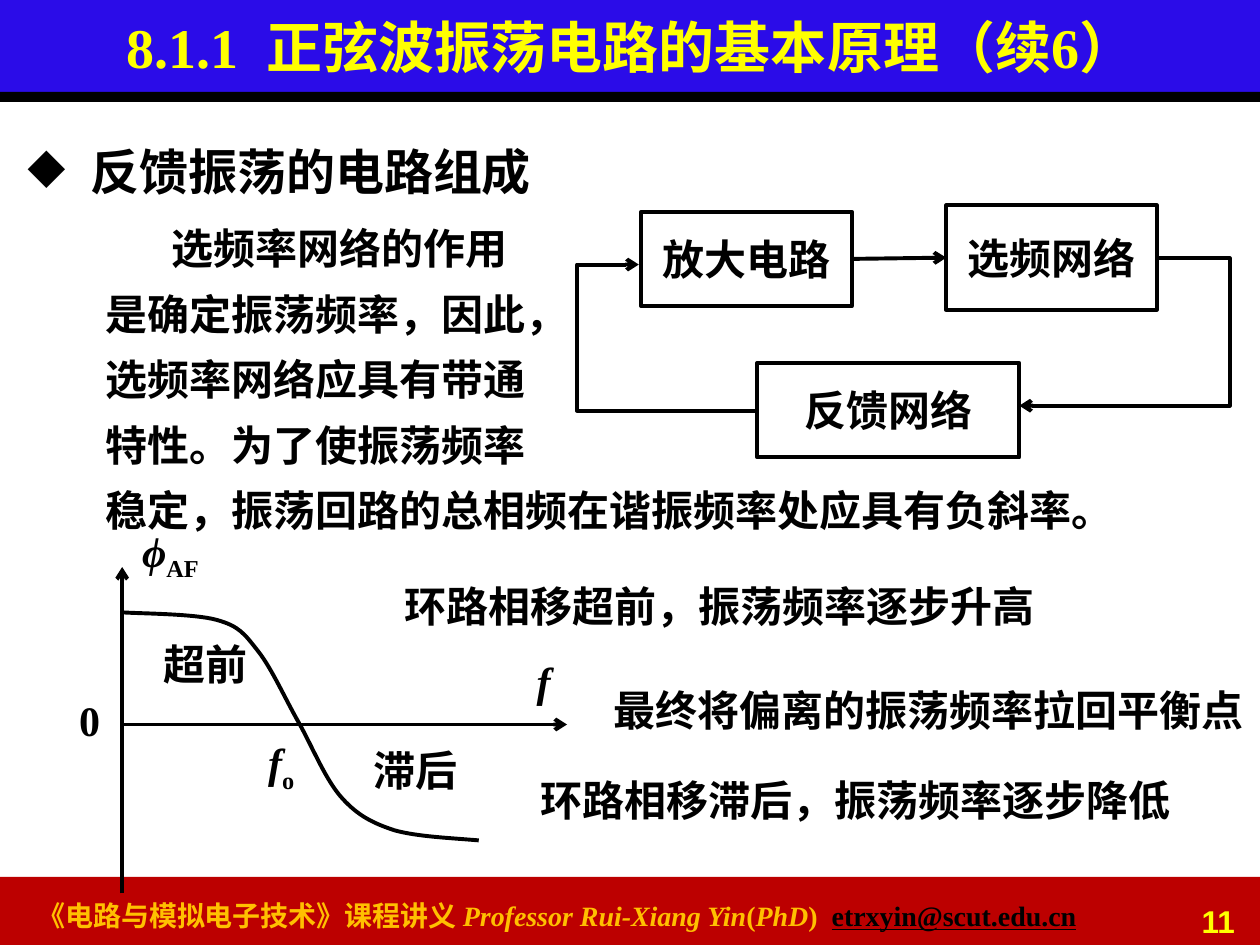
"""Build the slide on the principle of sine-wave feedback oscillators."""
import pptx
import pptx.dml.color
import pptx.enum.shapes
import pptx.enum.text
import pptx.oxml.ns
import pptx.util
from lxml import etree

Inches = pptx.util.Inches
Pt = pptx.util.Pt
RGBColor = pptx.dml.color.RGBColor
Align = pptx.enum.text.PP_ALIGN
Anchor = pptx.enum.text.MSO_ANCHOR
Preset = pptx.enum.shapes.MSO_SHAPE
qn = pptx.oxml.ns.qn

BLACK = RGBColor(0x00, 0x00, 0x00)
RED = RGBColor(0xBC, 0x00, 0x00)
BLUE = RGBColor(0x2B, 0x0C, 0xE8)
YELLOW = RGBColor(0xFF, 0xFF, 0x00)
GOLD = RGBColor(0xFF, 0xC0, 0x00)
SERIF = "Times New Roman"
LINE_WIDTH = Pt(2.25)


def add_span(para, text, size=24, color=BLACK, italic=False, underline=False,
             subscript=False, font=SERIF):
    """Append one bold run to a paragraph."""
    span = para.add_run()
    span.text = text
    span.font.name = font
    span.font.size = Pt(size)
    span.font.bold = True
    span.font.italic = italic
    span.font.underline = underline
    span.font.color.rgb = color
    if subscript:
        span._r.get_or_add_rPr().set("baseline", "-25000")


def add_text(page, left, top, width, height, wrap=False):
    """Add a text box and return its first paragraph."""
    box = page.shapes.add_textbox(Inches(left), Inches(top), Inches(width), Inches(height))
    box.text_frame.word_wrap = wrap
    return box.text_frame.paragraphs[0]


def add_label(page, left, top, width, text, italic=False, subscript=""):
    """Add a one-line label with an optional subscript."""
    para = add_text(page, left, top, width, 0.5)
    add_span(para, text, italic=italic)
    if subscript:
        add_span(para, subscript, subscript=True)


def add_bar(page, top, height, color):
    """Add a full-width colour bar."""
    bar = page.shapes.add_shape(Preset.RECTANGLE, 0, Inches(top), Inches(10), Inches(height))
    bar.shadow.inherit = False
    bar.fill.solid()
    bar.fill.fore_color.rgb = color
    bar.line.fill.background()


def style_line(line):
    """Give a line the common black stroke."""
    line.color.rgb = BLACK
    line.width = LINE_WIDTH


def add_arrowhead(line):
    """Put an open arrowhead at the end of a line."""
    etree.SubElement(line._get_or_add_ln(), qn("a:tailEnd"), type="arrow")


def add_block(page, left, top, width, height, text):
    """Add an outlined circuit block."""
    block = page.shapes.add_shape(Preset.RECTANGLE, Inches(left), Inches(top),
                                  Inches(width), Inches(height))
    block.shadow.inherit = False
    block.fill.background()
    style_line(block.line)
    frame = block.text_frame
    frame.margin_left = frame.margin_right = frame.margin_top = frame.margin_bottom = 0
    frame.word_wrap = False
    frame.vertical_anchor = Anchor.MIDDLE
    para = frame.paragraphs[0]
    para.alignment = Align.CENTER
    add_span(para, text)
    return block


def add_arrow(page, start, end):
    """Add a straight arrow between two points."""
    arrow = page.shapes.add_connector(pptx.enum.shapes.MSO_CONNECTOR.STRAIGHT,
                                      *map(Inches, start + end))
    etree.SubElement(arrow._element.spPr, qn("a:effectLst"))
    style_line(arrow.line)
    add_arrowhead(arrow.line)
    return arrow


def add_outline(page, points):
    """Add an open, unfilled polyline through the points."""
    start, *rest = [(Inches(x), Inches(y)) for x, y in points]
    builder = page.shapes.build_freeform(*start)
    builder.add_line_segments(rest, close=False)
    outline = builder.convert_to_shape()
    outline.shadow.inherit = False
    outline.fill.background()
    style_line(outline.line)
    return outline


def add_curve(page, points):
    """Add a smooth curve from a start point and triples of Bezier points."""
    curve = add_outline(page, points)
    segments = list(curve._element.iter(qn("a:lnTo")))
    for first in range(0, len(segments), 3):
        bezier = etree.Element(qn("a:cubicBezTo"))
        segments[first].addprevious(bezier)
        for segment in segments[first:first + 3]:
            bezier.append(segment[0])
            segment.getparent().remove(segment)


def add_title(page):
    """Place and fill the title above the header bars."""
    title = page.shapes.title
    title.left, title.top, title.width, title.height = map(Inches, (0, 0, 10.02, 0.73))
    title._element.getparent().append(title._element)
    title.text_frame.auto_size = pptx.enum.text.MSO_AUTO_SIZE.NONE
    title.text_frame.vertical_anchor = Anchor.MIDDLE
    para = title.text_frame.paragraphs[0]
    para.alignment = Align.CENTER
    add_span(para, "8.1.1  正弦波振荡电路的基本原理（续6）", 32, YELLOW)


def add_footer(page):
    """Add the course credit and the page number."""
    para = add_text(page, 0.2, 7.08, 8.82, 0.37, wrap=True)
    for text, italic in (("《电路与模拟电子技术》课程讲义 ", False), ("Professor Rui-Xiang Yin", True),
                         ("(", False), ("PhD", True), (")  ", False)):
        add_span(para, text, 16, GOLD, italic)
    add_span(para, "etrxyin@scut.edu.cn", 16, underline=True)
    para = add_text(page, 8.96, 7.11, 0.94, 0.31, wrap=True)
    para.alignment = Align.RIGHT
    add_span(para, "11", 18, YELLOW, font="Arial")


def add_body(page):
    """Add the bulleted heading and the explanation."""
    para = add_text(page, 0.12, 0.84, 9.72, 0.75, wrap=True)
    para.line_spacing = 1.5
    properties = para._p.get_or_add_pPr()
    properties.set("marL", str(Inches(0.5)))
    properties.set("indent", str(-Inches(0.5)))
    etree.SubElement(properties, qn("a:buChar"), char="◆")
    add_span(para, "反馈振荡的电路组成", 28)

    para = add_text(page, 0.74, 1.6, 9.26, 2.7, wrap=True)
    para.line_spacing = 1.3
    para._p.get_or_add_pPr().set("indent", str(Inches(0.52)))
    lines = ("选频率网络的作用", "是确定振荡频率，因此，", "选频率网络应具有带通",
             "特性。为了使振荡频率", "稳定，振荡回路的总相频在谐振频率处应具有负斜率。")
    for number, text in enumerate(lines):
        if number:
            para.add_line_break()
        add_span(para, text)


def add_loop(page):
    """Draw the feedback loop of three circuit blocks."""
    amplifier = add_block(page, 5.09, 1.68, 1.67, 0.75, "放大电路")
    selector = add_block(page, 7.51, 1.63, 1.67, 0.83, "选频网络")
    add_block(page, 6.01, 2.88, 2.08, 0.75, "反馈网络")
    arrow = add_arrow(page, (6.76, 2.05), (7.51, 2.05))
    arrow.begin_connect(amplifier, 3)
    arrow.end_connect(selector, 1)
    for points in (((9.17, 2.05), (9.76, 2.05), (9.76, 3.22), (8.09, 3.22)),
                   ((5.99, 3.26), (4.58, 3.26), (4.58, 2.1), (5.07, 2.1))):
        add_arrowhead(add_outline(page, points).line)


def add_phase_plot(page):
    """Draw the phase-frequency curve with its axes and labels."""
    add_arrow(page, (0.97, 5.75), (4.5, 5.75))
    add_arrow(page, (0.97, 7.09), (0.97, 4.5))
    add_curve(page, ((0.97, 4.86),
                     (1.1, 4.87), (1.54, 4.87), (1.72, 4.92),
                     (1.9, 4.97), (1.94, 5.03), (2.05, 5.17),
                     (2.16, 5.31), (2.27, 5.56), (2.38, 5.75),
                     (2.49, 5.95), (2.59, 6.2), (2.72, 6.34),
                     (2.84, 6.47), (2.95, 6.53), (3.13, 6.59),
                     (3.31, 6.64), (3.56, 6.65), (3.8, 6.67)))
    add_label(page, 4.16, 5.15, 0.31, "f", italic=True)
    add_label(page, 0.53, 5.46, 0.37, "0")
    add_label(page, 1.03, 4.12, 0.7, "ϕ", italic=True, subscript="AF")
    add_label(page, 2.03, 5.8, 0.42, "f", italic=True, subscript="o")
    add_label(page, 2.87, 5.86, 0.87, "滞后")
    add_label(page, 1.2, 5.02, 0.87, "超前")


def main():
    """Build and save the deck."""
    deck = pptx.Presentation()
    deck.slide_width, deck.slide_height = Inches(10), Inches(7.5)
    page = deck.slides.add_slide(deck.slide_layouts[5])
    add_bar(page, 6.96, 0.54, RED)
    add_bar(page, 0, 0.76, BLUE)
    add_bar(page, 0.73, 0.08, BLACK)
    add_title(page)
    add_footer(page)
    add_body(page)
    add_loop(page)
    add_phase_plot(page)
    add_label(page, 3.11, 4.56, 5.23, "环路相移超前，振荡频率逐步升高")
    add_label(page, 4.19, 6.1, 5.23, "环路相移滞后，振荡频率逐步降低")
    add_label(page, 4.77, 5.38, 5.23, "最终将偏离的振荡频率拉回平衡点")
    deck.save("out.pptx")


if __name__ == "__main__":
    main()
